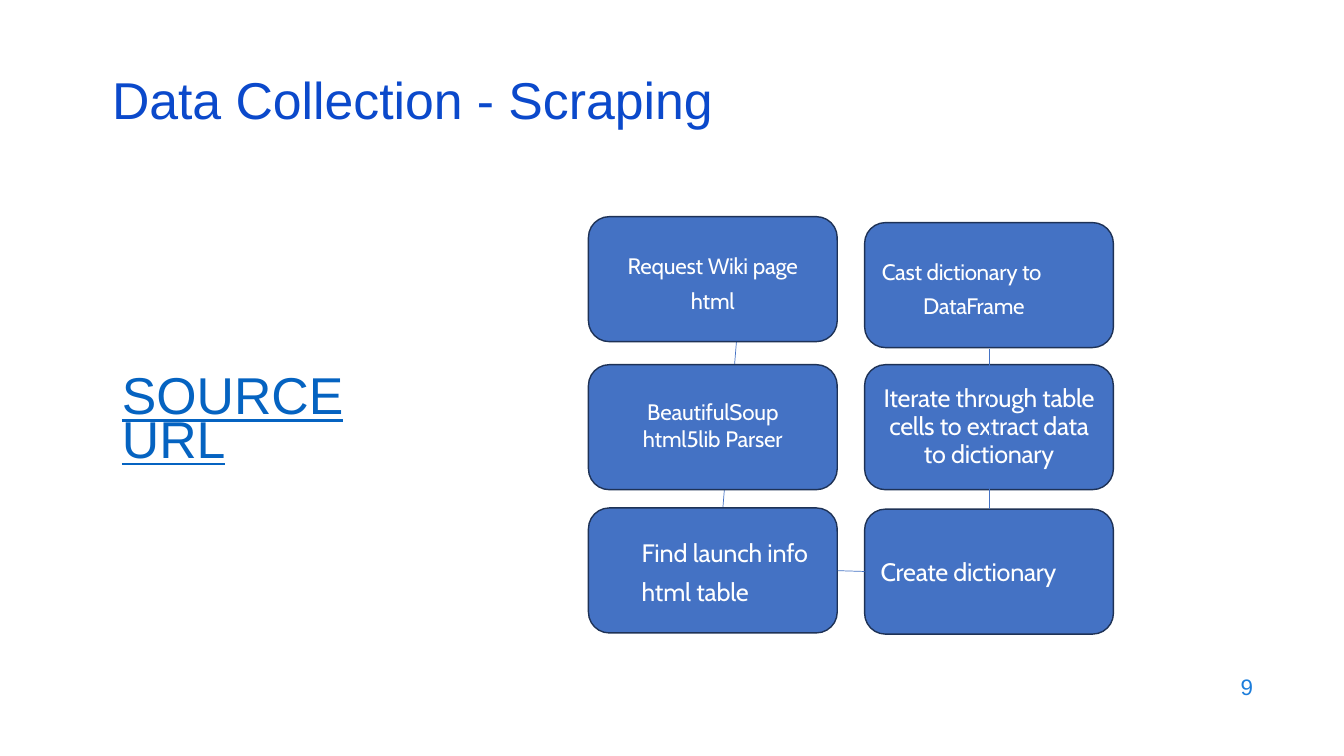
import pptx
import pptx.util
import pptx.dml.color
import pptx.enum.shapes
import pptx.enum.text
import pptx.oxml.ns
import lxml.etree

Cm, Pt = pptx.util.Cm, pptx.util.Pt
ALIGN = pptx.enum.text.PP_ALIGN
ANCHOR = pptx.enum.text.MSO_ANCHOR
COLORS = {"title": "0B49CB", "link": "0563C1", "page": "1C7DDB",
          "fill": "4472C4", "edge": "1E3256", "text": "FFFFFF"}


class Deck:
    """Holds the style and the current slide, and draws each kind of element."""

    def __init__(self):
        self.show = pptx.Presentation()
        self.show.slide_width, self.show.slide_height = Cm(33.87), Cm(19.05)
        self.slide = self.show.slides.add_slide(self.show.slide_layouts[1])

    def color(self, name):
        return pptx.dml.color.RGBColor.from_string(COLORS[name])

    def apply(self, item, values):
        for key, value in values.items():
            setattr(item, key, value)

    def place(self, shape, box):
        keys = ("left", "top", "width", "height")
        self.apply(shape, dict(zip(keys, map(Cm, box))))

    def fill_text(self, shape, lines, color, font, para, anchor=ANCHOR.MIDDLE,
                  indent=(0, 0), space=0, track=0):
        frame = shape.text_frame
        self.apply(frame, {"word_wrap": True, "vertical_anchor": anchor,
                           "auto_size": pptx.enum.text.MSO_AUTO_SIZE.NONE})
        for num, line in enumerate(lines):
            part = frame.add_paragraph() if num else frame.paragraphs[0]
            props = part._p.get_or_add_pPr()
            props.set("marL", str(Cm(indent[0])))
            props.set("indent", str(Cm(indent[1])))
            lxml.etree.SubElement(props, pptx.oxml.ns.qn("a:buNone"))
            self.apply(part, {"space_before": Pt(space if num else 0), **para})
            run = part.add_run()
            run.text = line
            self.apply(run.font, font)
            run.font.color.rgb = self.color(color)
            if track:
                run._r.get_or_add_rPr().set("spc", str(track))

    def holder(self, index, box, text, color, **style):
        shape = self.slide.placeholders[index]
        self.place(shape, box)
        font = {"name": "Arial", "size": Pt(37), **style.pop("font", {})}
        para = {"alignment": ALIGN.LEFT, "line_spacing": 0.7}
        self.fill_text(shape, [text], color, font, para, **style)

    def label(self, box, text, color):
        shape = self.slide.shapes.add_textbox(*map(Cm, box))
        self.fill_text(shape, [text], color, {"name": "Arial", "size": Pt(16)},
                       {"alignment": ALIGN.RIGHT})

    def step(self, left, top, lines, size, align, pitch, **style):
        kind = pptx.enum.shapes.MSO_SHAPE.ROUNDED_RECTANGLE
        shape = self.slide.shapes.add_shape(
            kind, *map(Cm, (left, top, 6.27, 3.15)))
        shape.shadow.inherit = False
        shape.fill.solid()
        shape.fill.fore_color.rgb = self.color("fill")
        shape.line.color.rgb = self.color("edge")
        shape.line.width = Pt(1)
        self.fill_text(shape, lines, "text",
                       {"name": "Cabin", "size": Pt(size)},
                       {"alignment": align, "line_spacing": pitch}, **style)

    def link(self, *ends):
        kind = pptx.enum.shapes.MSO_CONNECTOR.STRAIGHT
        line = self.slide.shapes.add_connector(kind, *map(Cm, ends))
        line.line.color.rgb = self.color("fill")
        line.line.width = Pt(0.5)
        lxml.etree.SubElement(line._element.spPr,
                              pptx.oxml.ns.qn("a:effectLst"))


def main():
    deck = Deck()
    deck.holder(0, (2.57, 1.93, 29.21, 1.52), "Data Collection - Scraping",
                "title")
    deck.holder(1, (2.82, 9.45, 7.98, 1.52), "SOURCE URL", "link",
                anchor=ANCHOR.TOP, font={"underline": True})
    deck.label((24.21, 16.74, 7.62, 1.12), "9", "page")

    west, east = 14.83, 21.79
    mid, left = ALIGN.CENTER, ALIGN.LEFT
    deck.link(18.59, 8.23, 17.96, 15.95)
    deck.step(west, 5.46, ["Request Wiki page", "html"], 16, mid, Pt(25.2),
              track=-15)
    deck.step(west, 9.19, ["BeautifulSoup", "html5lib Parser"], 16, mid,
              Pt(16.4), space=2.9, track=-10)
    deck.step(west, 12.8, ["Find launch info", "html table"], 18, left,
              Pt(24.3), indent=(0.94, 0), space=3.5, track=-15)
    deck.step(east, 12.83, ["Create dictionary"], 18, left, 1.0, track=-20)
    deck.step(east, 9.19,
              ["Iterate through table cells to extract data to dictionary"],
              18, mid, 0.92, track=-20)
    deck.step(east, 5.61, ["Cast dictionary to DataFrame"], 16, left,
              Pt(24.2), indent=(1.07, -1.04), track=-20)
    deck.link(21.11, 14.38, east, 14.4)
    deck.link(24.94, 12.83, 24.94, 8.79)
    deck.show.save("out.pptx")


if __name__ == "__main__":
    main()
